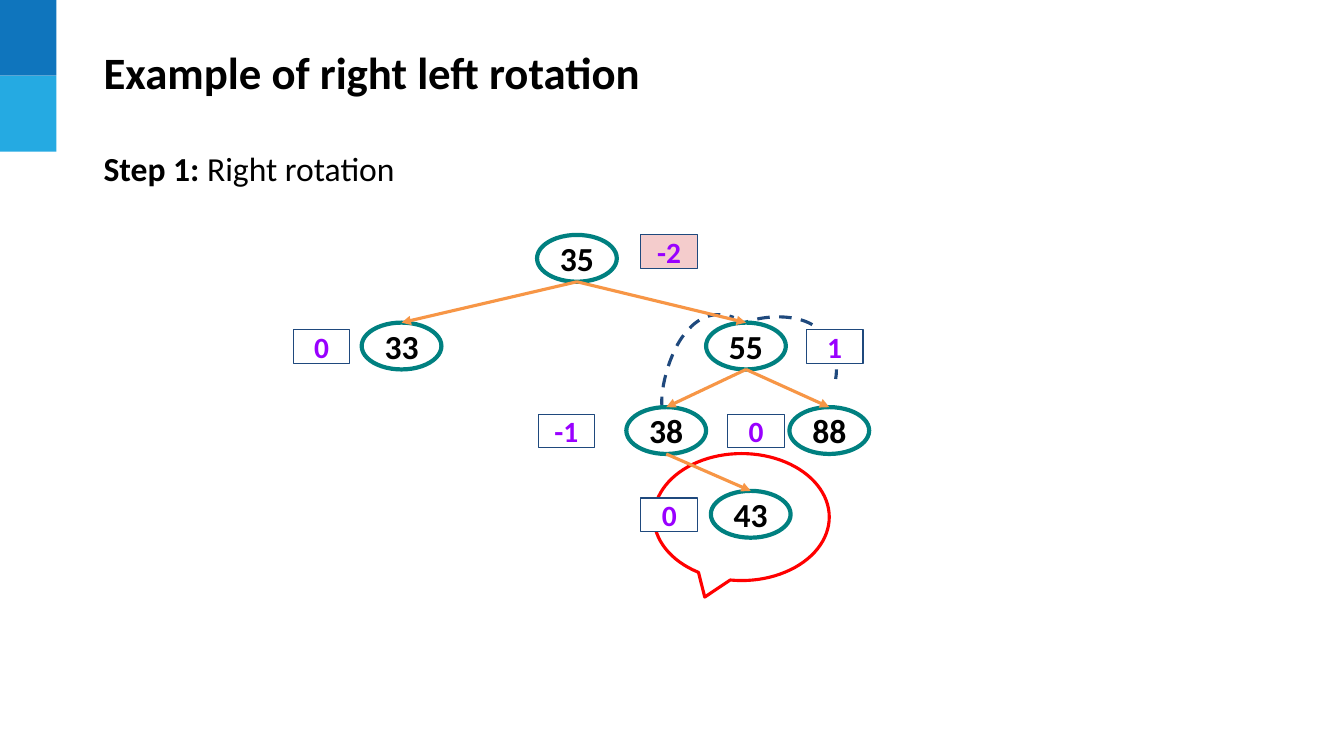
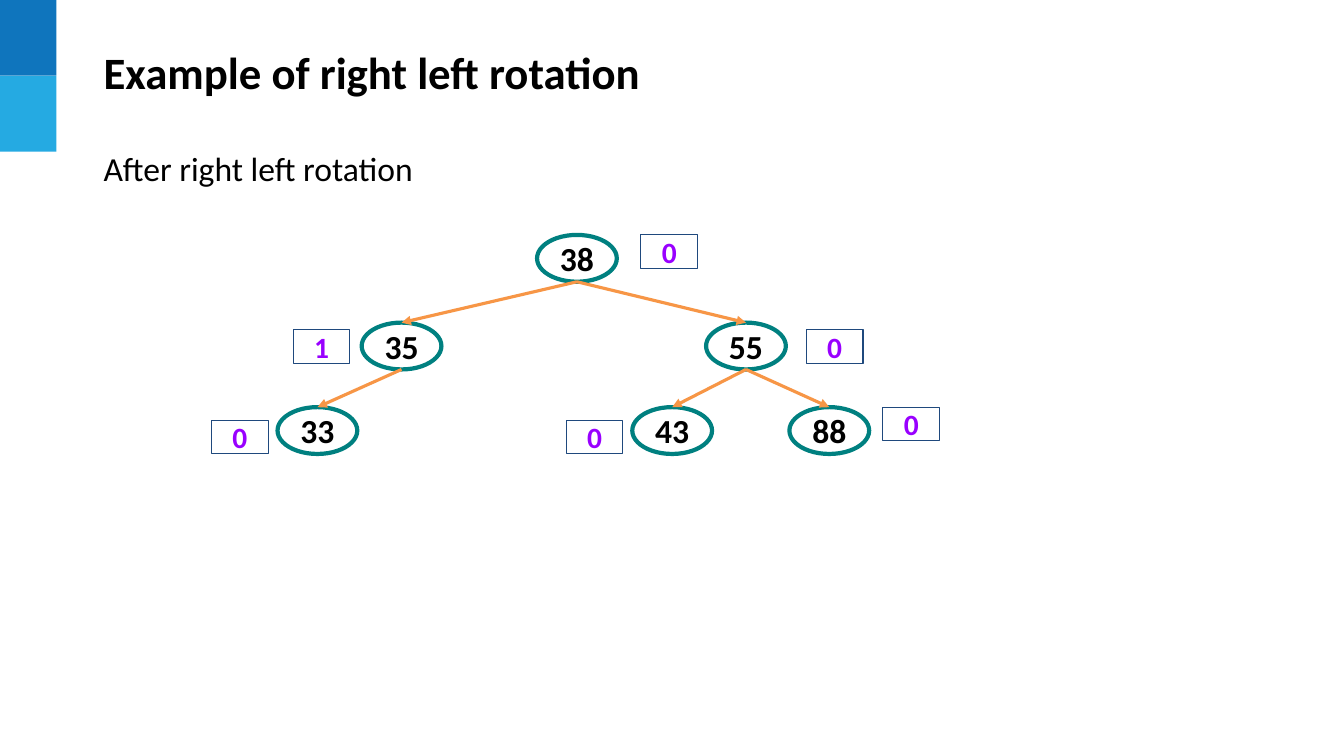
from lxml import etree
from pptx import Presentation
from pptx.dml.color import RGBColor
from pptx.enum.dml import MSO_LINE
from pptx.enum.shapes import MSO_CONNECTOR, MSO_SHAPE
from pptx.enum.text import MSO_ANCHOR, MSO_AUTO_SIZE, PP_ALIGN
from pptx.oxml.ns import qn
from pptx.util import Cm, Pt

FONT = "Calibri"
BLACK = RGBColor(0x00, 0x00, 0x00)
WHITE = RGBColor(0xFF, 0xFF, 0xFF)
TEAL = RGBColor(0x00, 0x80, 0x80)
ORANGE = RGBColor(0xF7, 0x96, 0x46)
NAVY = RGBColor(0x1F, 0x49, 0x7D)
PURPLE = RGBColor(0x99, 0x00, 0xFF)
PINK = RGBColor(0xF4, 0xCC, 0xCC)
RED = RGBColor(0xFF, 0x00, 0x00)
BANDS = [RGBColor(0x0F, 0x75, 0xBD), RGBColor(0x25, 0xAA, 0xE2)]

BAND_W, BAND_H = 1.42, 1.91
NODE_W, NODE_H = 2.01, 1.18
LABEL_W, LABEL_H = 1.43, 0.84
ROWS = [5.92, 8.13, 10.26, 12.37]
CURVE_STEPS = 30

# fmt: off
SLIDES = [
    {
        "title": "Example of right left rotation",
        "lead": [("Step 1:", True), (" Right rotation", False)],
        "callouts": [(16.48, 11.43, 4.42, 3.2, -0.21, 0.63)],
        "curves": [
            [(18.57, 8.23), (19.02, 7.95), (19.99, 7.87), (20.5, 8.2),
             (21.03, 8.53), (21.13, 9.12), (21.06, 9.55)],
            [(16.69, 10.31), (16.61, 9.83), (16.89, 8.81), (17.3, 8.36),
             (17.7, 7.87), (18.16, 7.87), (18.49, 8.0)],
        ],
        "nodes": [
            ("35", None, 0, 14.54, "-2", 16.15, 0),
            ("33", "35", 1, 10.12, "0", 7.39, 0.18),
            ("55", "35", 1, 18.8, "1", 20.32, 0.18),
            ("88", "55", 2, 20.9, "0", 18.34, 0.18),
            ("38", "55", 2, 16.79, "-1", 13.56, 0.18),
            ("43", "38", 3, 18.92, "0", 16.15, 0.18),
        ],
    },
    {
        "title": "Example of right left rotation",
        "lead": [("After right left rotation", False)],
        "callouts": [],
        "curves": [],
        "nodes": [
            ("38", None, 0, 14.54, "0", 16.15, 0),
            ("35", "38", 1, 10.12, "1", 7.39, 0.18),
            ("55", "38", 1, 18.8, "0", 20.32, 0.18),
            ("88", "55", 2, 20.9, "0", 22.25, 0),
            ("33", "35", 2, 8, "0", 5.33, 0.33),
            ("43", "55", 2, 16.94, "0", 14.27, 0.33),
        ],
    },
]
# fmt: on


def style_run(r, size, color=BLACK, bold=True):
    r.font.name, r.font.size = FONT, Pt(size)
    r.font.color.rgb, r.font.bold = color, bold


def set_insets(tf, side, top):
    tf.margin_left = tf.margin_right = Cm(side)
    tf.margin_top = tf.margin_bottom = Cm(top)


def add_box(slide, kind, x, y, w, h, fill, line=None, width=0):
    s = slide.shapes.add_shape(kind, Cm(x), Cm(y), Cm(w), Cm(h))
    s.shadow.inherit = False
    s.fill.solid()
    s.fill.fore_color.rgb = fill
    if line is None:
        s.line.fill.background()
    else:
        s.line.color.rgb, s.line.width = line, Pt(width)
    return s


def set_label(s, text, size, color, inset_top):
    tf = s.text_frame
    tf.text = text
    tf.word_wrap = True
    tf.vertical_anchor = MSO_ANCHOR.MIDDLE
    set_insets(tf, 0.25, inset_top)
    p = tf.paragraphs[0]
    p.alignment = PP_ALIGN.CENTER
    style_run(p.runs[0], size, color)


def add_arrow(slide, x1, y1, x2, y2):
    c = slide.shapes.add_connector(
        MSO_CONNECTOR.STRAIGHT, Cm(x1), Cm(y1), Cm(x2), Cm(y2))
    c.line.color.rgb, c.line.width = ORANGE, Pt(2.25)
    etree.SubElement(c.line._get_or_add_ln(), qn("a:tailEnd"), type="triangle")
    etree.SubElement(c.element.spPr, qn("a:effectLst"))


def bezier(p0, p1, p2, p3, t):
    u = 1 - t
    weights = (u ** 3, 3 * u * u * t, 3 * u * t * t, t ** 3)
    return tuple(
        Cm(sum(w * p[axis] for w, p in zip(weights, (p0, p1, p2, p3))))
        for axis in (0, 1))


def add_curve(slide, knots):
    points = [bezier(*knots[i:i + 4], step / CURVE_STEPS)
              for i in range(0, len(knots) - 1, 3)
              for step in range(1, CURVE_STEPS + 1)]
    x, y = knots[0]
    builder = slide.shapes.build_freeform(Cm(x), Cm(y))
    builder.add_line_segments(points, close=False)
    s = builder.convert_to_shape()
    s.shadow.inherit = False
    s.fill.background()
    s.line.color.rgb, s.line.width = NAVY, Pt(2.25)
    s.line.dash_style = MSO_LINE.DASH


def add_tree(slide, nodes):
    spots = {}
    for key, parent, row, x, balance, label_x, drop in nodes:
        y = ROWS[row]
        s = add_box(slide, MSO_SHAPE.OVAL, x - NODE_W / 2, y, NODE_W, NODE_H,
                    WHITE, TEAL, 3)
        set_label(s, key, 24, BLACK, 0.13)
        spots[key] = x, y
        if parent:
            parent_x, parent_y = spots[parent]
            add_arrow(slide, parent_x, parent_y + NODE_H, x, y)
        fill = PINK if abs(int(balance)) > 1 else WHITE
        s = add_box(slide, MSO_SHAPE.RECTANGLE, label_x, y + drop,
                    LABEL_W, LABEL_H, fill, NAVY, 0.75)
        set_label(s, balance, 21, PURPLE, 0.25)


def set_up_layout(layout, slide):
    for i, color in enumerate(BANDS):
        s = add_box(slide, MSO_SHAPE.RECTANGLE, 0, i * BAND_H, BAND_W, BAND_H, color)
        s.element.nvSpPr.cNvPr.id = 20 + i
        layout.shapes.element.append(s.element)


def add_heading(slide, title, lead):
    s = slide.shapes.title
    s.left, s.top, s.width, s.height = Cm(2.36), Cm(0.99), Cm(29.5), Cm(1.63)
    tf = s.text_frame
    tf.text = title
    tf.auto_size = MSO_AUTO_SIZE.NONE
    tf.vertical_anchor = MSO_ANCHOR.MIDDLE
    set_insets(tf, 0.25, 0.13)
    tf.paragraphs[0].alignment = PP_ALIGN.LEFT
    style_run(tf.paragraphs[0].runs[0], 32)

    s = slide.shapes.add_textbox(Cm(2.36), Cm(3.48), Cm(29.4), Cm(1.55))
    tf = s.text_frame
    tf.word_wrap = True
    set_insets(tf, 0.25, 0.25)
    for text, bold in lead:
        r = tf.paragraphs[0].add_run()
        r.text = text
        style_run(r, 24, bold=bold)


def main():
    prs = Presentation()
    prs.slide_width, prs.slide_height = Cm(33.87), Cm(19.05)
    layout = prs.slide_layouts[5]
    for i, content in enumerate(SLIDES):
        slide = prs.slides.add_slide(layout)
        if i == 0:
            set_up_layout(layout, slide)
        for x, y, w, h, tip_x, tip_y in content["callouts"]:
            s = add_box(slide, MSO_SHAPE.OVAL_CALLOUT, x, y, w, h, WHITE, RED, 2.25)
            s.adjustments[0], s.adjustments[1] = tip_x, tip_y
        add_heading(slide, content["title"], content["lead"])
        for knots in content["curves"]:
            add_curve(slide, knots)
        add_tree(slide, content["nodes"])
    prs.save("out.pptx")


if __name__ == "__main__":
    main()
